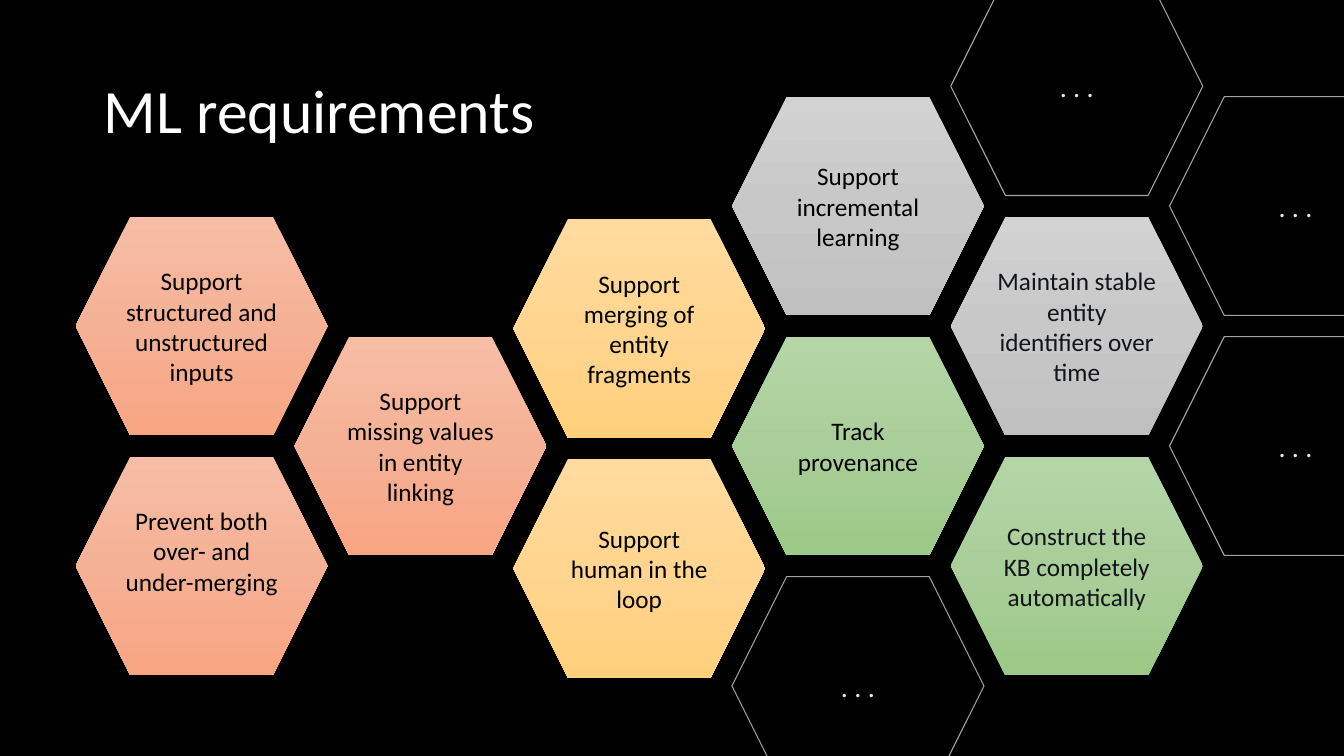
from copy import deepcopy

from pptx import Presentation
from pptx.dml.color import RGBColor
from pptx.enum.shapes import MSO_SHAPE
from pptx.enum.text import MSO_ANCHOR, PP_ALIGN
from pptx.oxml.ns import qn
from pptx.util import Inches, Pt

BLACK = RGBColor(0x00, 0x00, 0x00)
WHITE = RGBColor(0xFF, 0xFF, 0xFF)
INK = RGBColor(0x11, 0x15, 0x1A)
PALE = RGBColor(0xE7, 0xE6, 0xE6)
OUTLINE = RGBColor(0xA5, 0xA5, 0xA5)

# Gradients from top to bottom
ORANGE = (RGBColor(0xF7, 0xBD, 0xA5), RGBColor(0xF5, 0xB1, 0x96), RGBColor(0xF8, 0xA5, 0x82))
YELLOW = (RGBColor(0xFF, 0xDB, 0x9E), RGBColor(0xFF, 0xD5, 0x90), RGBColor(0xFF, 0xD0, 0x7C))
GREEN = (RGBColor(0xB5, 0xD5, 0xA7), RGBColor(0xAA, 0xCE, 0x9A), RGBColor(0x9C, 0xC9, 0x87))
GRAY = (RGBColor(0xD2, 0xD2, 0xD2), RGBColor(0xC8, 0xC8, 0xC8), RGBColor(0xC0, 0xC0, 0xC0))

WIDE = (0.1, 0.05, 0.1, 0.05)
NARROW = (0.04, 0.05, 0.04, 0.05)
RAISED = (0.1, 0.05, 0.1, 0.35)

# column, row (half a hexagon step each), text, gradient, text colour, insets
REQUIREMENTS = [
    (0, 2, "Support structured and unstructured inputs", ORANGE, BLACK, WIDE),
    (0, 4, "Prevent both over- and under-merging", ORANGE, BLACK, RAISED),
    (1, 3, "Support missing values in entity linking", ORANGE, BLACK, WIDE),
    (2, 2.02, "Support merging of entity fragments", YELLOW, BLACK, WIDE),
    (2, 4.02, "Support human in the loop", YELLOW, BLACK, WIDE),
    (3, 1, "Support incremental learning", GRAY, BLACK, WIDE),
    (3, 3, "Track provenance", GREEN, BLACK, WIDE),
    (4, 2, "Maintain stable entity identifiers over time", GRAY, INK, NARROW),
    (4, 4, "Construct the KB completely automatically", GREEN, INK, WIDE),
]
OPEN_CELLS = [(3, 5), (4, 0), (5, 1), (5, 3)]


class HoneycombSlide:
    font_name = "Calibri"
    left, top = 0.75, -0.23
    column_step, row_step = 2.17, 1.19
    cell_width, cell_height = 2.5, 2.17

    def __init__(self, presentation):
        self.width = presentation.slide_width
        self.height = presentation.slide_height
        self.slide = presentation.slides.add_slide(presentation.slide_layouts[6])
        background = self.slide.background.fill
        background.solid()
        background.fore_color.rgb = BLACK

    def set_text(self, shape, text, size, color, insets=WIDE, **paragraph_format):
        frame = shape.text_frame
        frame.word_wrap = True
        frame.vertical_anchor = MSO_ANCHOR.MIDDLE
        for side, inset in zip(("left", "top", "right", "bottom"), insets):
            setattr(frame, f"margin_{side}", Inches(inset))
        paragraph = frame.paragraphs[0]
        for name, value in paragraph_format.items():
            setattr(paragraph, name, value)
        run = paragraph.add_run()
        run.text = text
        for name, value in {"name": self.font_name, "size": Pt(size)}.items():
            setattr(run.font, name, value)
        run.font.color.rgb = color

    def title(self, text):
        shares = (0.07, 0.05, 0.86, 0.2)
        sides = (self.width, self.height) * 2
        box = self.slide.shapes.add_textbox(*(int(share * side) for share, side in zip(shares, sides)))
        self.set_text(box, text, 44, WHITE, line_spacing=0.9)

    def hexagon(self, column, row):
        shape = self.slide.shapes.add_shape(
            MSO_SHAPE.HEXAGON,
            Inches(self.left + column * self.column_step),
            Inches(self.top + row * self.row_step),
            Inches(self.cell_width), Inches(self.cell_height))
        shape.shadow.inherit = False
        return shape

    def requirement(self, column, row, text, gradient, color, insets):
        shape = self.hexagon(column, row)
        shape.line.fill.background()
        self.fill_gradient(shape, gradient)
        self.set_text(shape, text, 18, color, insets, alignment=PP_ALIGN.CENTER)

    def open_cell(self, column, row):
        """Add an outlined hexagon for requirements still to come."""
        shape = self.hexagon(column, row)
        shape.fill.background()
        shape.line.color.rgb = OUTLINE
        shape.line.width = Pt(0.75)
        self.set_text(shape, ". . .", 20, PALE, NARROW, alignment=PP_ALIGN.CENTER)

    @staticmethod
    def fill_gradient(shape, colors):
        shape.fill.gradient()
        shape.fill.gradient_angle = 270
        stop_list = shape._element.spPr.find(qn("a:gradFill")).find(qn("a:gsLst"))
        stop_list.insert(1, deepcopy(stop_list[0]))
        for index, (stop, color) in enumerate(zip(shape.fill.gradient_stops, colors)):
            stop.position = index / 2
            stop.color.rgb = color


def main():
    presentation = Presentation()
    presentation.slide_width = Inches(13.33)
    presentation.slide_height = Inches(7.5)
    honeycomb = HoneycombSlide(presentation)
    honeycomb.title("ML requirements")
    for requirement in REQUIREMENTS:
        honeycomb.requirement(*requirement)
    for cell in OPEN_CELLS:
        honeycomb.open_cell(*cell)
    presentation.save("out.pptx")


if __name__ == "__main__":
    main()
